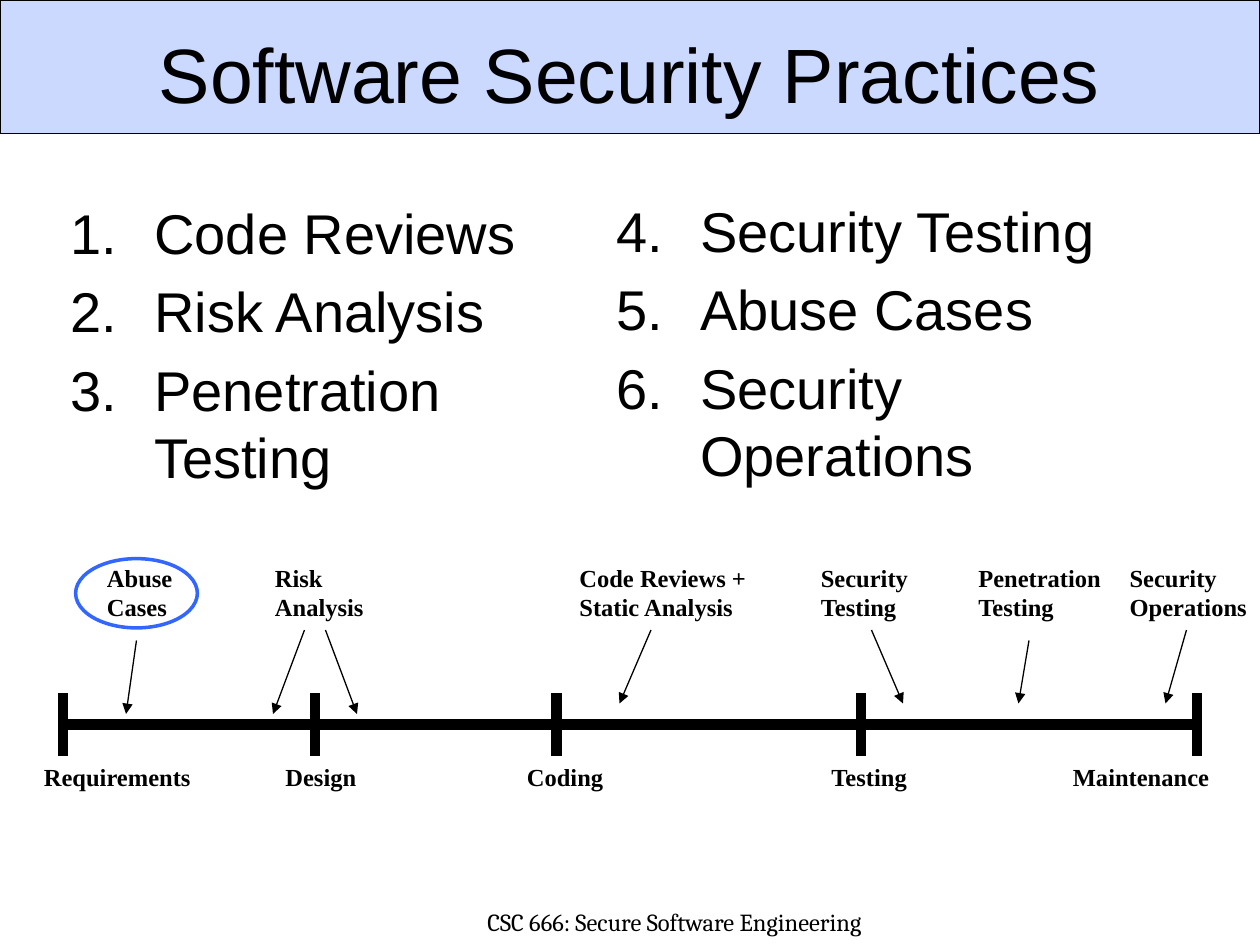
from lxml import etree
from pptx import Presentation, util as u
from pptx.dml.color import RGBColor
from pptx.enum import shapes, text
from pptx.oxml.ns import qn

PX = 7620  # EMU per px, 120 px to the inch
BLACK, BLUE = "000000", "3366FF"

# Content
TITLE = "Software Security Practices"
FOOTER = "CSC 666: Secure Software Engineering"
PRACTICES = ["Code Reviews", "Risk Analysis", "Penetration Testing",
             "Security Testing", "Abuse Cases", "Security Operations"]
# phase, tick x, label x, label width
PHASES = [("Requirements", 60, 30, 168), ("Design", 300, 260, 95),
          ("Coding", 530, 490, 101), ("Testing", 820, 780, 102),
          ("Maintenance", 1140, 1010, 158)]
# activity paragraphs, x, width, arrows (x1, y1, x2, y2)
ACTIVITIES = [
    (["Abuse\vCases"], 90, 90, [(130, 610, 120, 680)]),
    (["Risk", "Analysis"], 250, 112, [(290, 600, 260, 680), (310, 600, 340, 680)]),
    (["Code Reviews +", "Static Analysis"], 540, 186, [(620, 600, 590, 670)]),
    (["Security", "Testing"], 770, 111, [(830, 600, 860, 670)]),
    (["Penetration", "Testing"], 920, 144, [(980, 610, 970, 670)]),
    (["Security", "Operations"], 1064, 136, [(1130, 600, 1110, 670)]),
]
AXIS_Y, TICK, ACTIVITY_Y, LABEL_Y = 690, 30, 530, 720

prs = Presentation()
prs.slide_width, prs.slide_height = 1200 * PX, 900 * PX
slide = prs.slides.add_slide(prs.slide_layouts[1])


def color(value):
    return RGBColor.from_string(value)


def place(sp, x, y, w, h):
    sp.left, sp.top, sp.width, sp.height = (v * PX for v in (x, y, w, h))


def write(sp, lines, size=14, font="Times New Roman", bold=False, align=None,
          anchor=text.MSO_ANCHOR.TOP, wrap=True, grow=False, start=None):
    """Fill a shape with paragraphs; start makes them a numbered list."""
    tf = sp.text_frame
    tf.word_wrap, tf.vertical_anchor = wrap, anchor
    tf.auto_size = (text.MSO_AUTO_SIZE.SHAPE_TO_FIT_TEXT if grow
                    else text.MSO_AUTO_SIZE.NONE)
    for i, line in enumerate(lines):
        p = tf.paragraphs[0] if i == 0 else tf.add_paragraph()
        p.text, p.alignment = line, align
        for r in p.runs:
            r.font.size, r.font.name, r.font.bold = u.Pt(size), font, bold
            r.font.color.rgb = color(BLACK)
        if start:
            ppr = p._p.get_or_add_pPr()
            ppr.set("marL", str(80 * PX))
            ppr.set("indent", str(-80 * PX))
            before = etree.SubElement(ppr, qn("a:spcBef"))
            etree.SubElement(before, qn("a:spcPct"), val="20000")
            etree.SubElement(ppr, qn("a:buFont"), typeface="+mj-lt")
            etree.SubElement(ppr, qn("a:buAutoNum"), type="arabicPeriod",
                             startAt=str(start))


def add_text(box, lines, **fmt):
    write(slide.shapes.add_textbox(*(v * PX for v in box)), lines, **fmt)


def add_line(x1, y1, x2, y2, width, arrow=False):
    c = slide.shapes.add_connector(shapes.MSO_CONNECTOR.STRAIGHT,
                                   *(v * PX for v in (x1, y1, x2, y2)))
    c.line.width, c.line.color.rgb = u.Pt(width), color(BLACK)
    if arrow:
        etree.SubElement(c.line._get_or_add_ln(), qn("a:tailEnd"), type="triangle")
    etree.SubElement(c._element.spPr, qn("a:effectLst"))


def add_shape(kind, box, line, width):
    sp = slide.shapes.add_shape(kind, *(v * PX for v in box))
    sp.shadow.inherit = False
    sp.line.color.rgb, sp.line.width = color(line), u.Pt(width)
    return sp


# Title band, sent behind the title
band = add_shape(shapes.MSO_SHAPE.RECTANGLE, (0, 0, 1200, 127), BLACK, 0.75)
band.fill.solid()
band.fill.fore_color.rgb = color(BLUE)
rgb = band._element.spPr.find(".//" + qn("a:srgbClr"))
etree.SubElement(rgb, qn("a:alpha"), val="25000")
slide.shapes._spTree.insert(2, band._element)

# Title and footer
title, body = slide.placeholders
place(title, 60, 20, 1080, 98)
write(title, [TITLE], size=44, font="Arial", align=text.PP_ALIGN.CENTER,
      anchor=text.MSO_ANCHOR.MIDDLE)
add_text((444, 858, 397, 42), [FOOTER], font="Cambria",
         align=text.PP_ALIGN.CENTER)

# Numbered practices in two columns
place(body, 55, 183, 530, 358)
write(body, PRACTICES[:3], size=32, font="Arial", start=1)
add_text((575, 181, 530, 310), PRACTICES[3:], size=32, font="Arial", start=4)

# Timeline with a tick and a label for each phase
label = dict(bold=True, wrap=False, grow=True)
add_line(PHASES[0][1], AXIS_Y, PHASES[-1][1], AXIS_Y, 6)
for name, tick_x, x, w in PHASES:
    add_line(tick_x, AXIS_Y - TICK, tick_x, AXIS_Y + TICK, 6)
    add_text((x, LABEL_Y, w, 40), [name], **label)

# Activities pointing at the timeline
for lines, x, w, arrows in ACTIVITIES:
    add_text((x, ACTIVITY_Y, w, 68), lines, **label)
    for ends in arrows:
        add_line(*ends, 0.75, arrow=True)

# Ring around the current activity
ring = add_shape(shapes.MSO_SHAPE.OVAL, (72, 532, 116, 66), BLUE, 2)
ring.fill.background()

prs.save("out.pptx")
